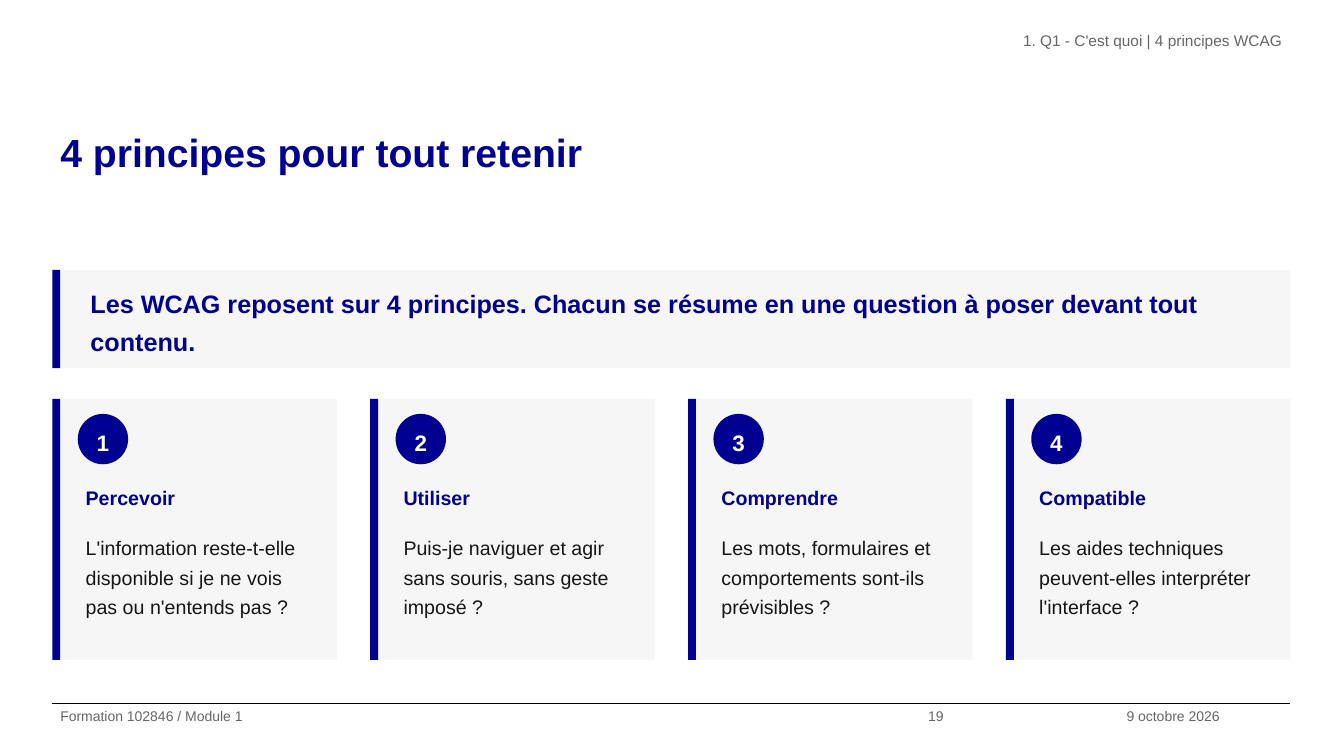
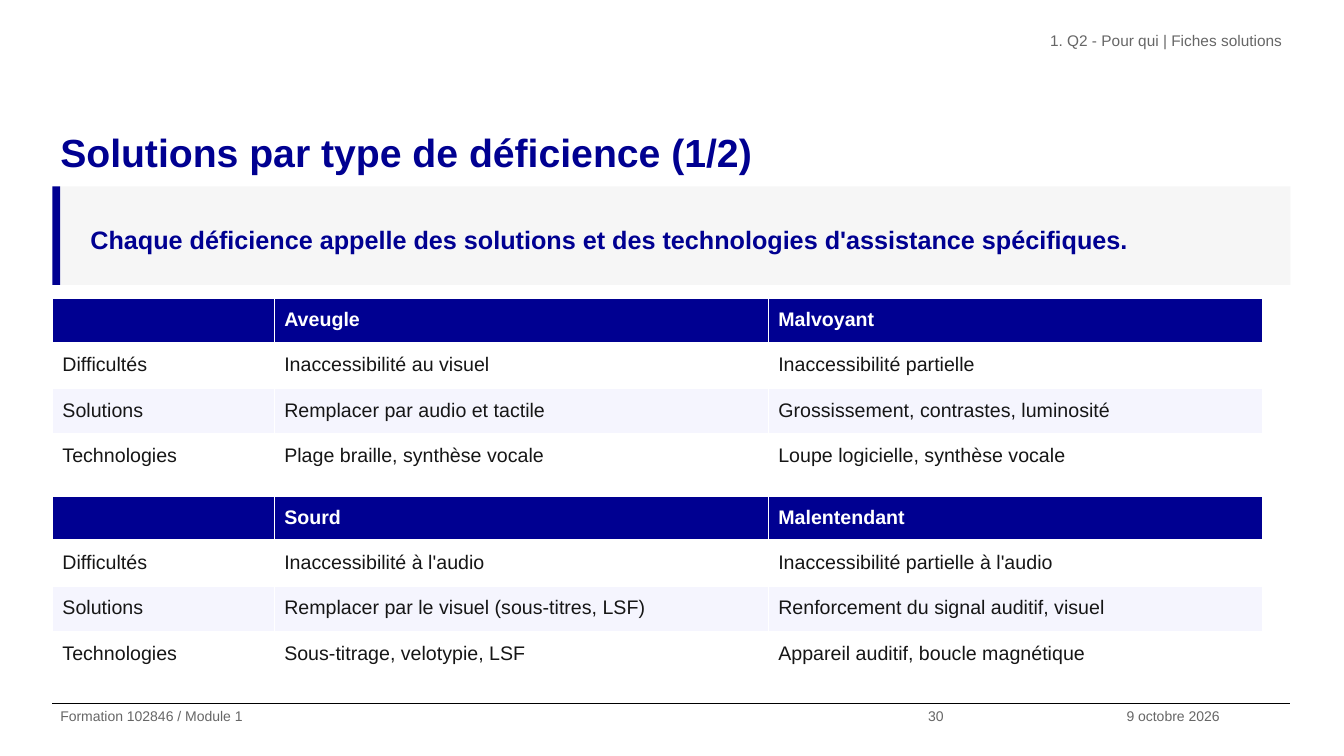
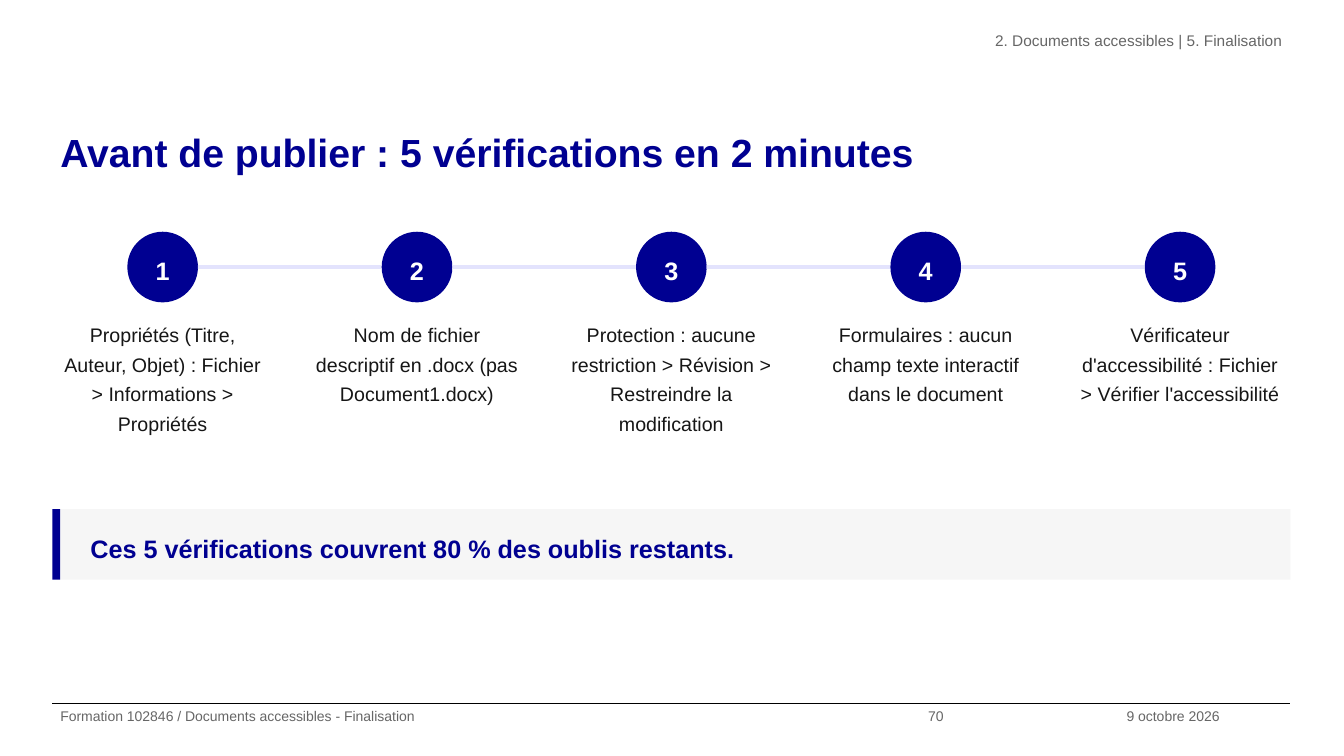
from dataclasses import dataclass
from typing import Iterator, Optional, Sequence

from lxml.etree import SubElement
from pptx import Presentation
from pptx.dml.color import RGBColor
from pptx.enum.shapes import MSO_CONNECTOR, MSO_SHAPE
from pptx.enum.text import MSO_ANCHOR, MSO_AUTO_SIZE, PP_ALIGN
from pptx.oxml.ns import qn
from pptx.presentation import Presentation as Deck
from pptx.shapes.autoshape import Shape
from pptx.slide import Slide
from pptx.table import _Cell as Cell
from pptx.text.text import TextFrame, _Paragraph as Paragraph
from pptx.util import Cm, Pt


@dataclass(frozen=True)
class Theme:
    font: str = "Arial"
    line_spacing: float = 1.25
    blue: str = "000091"
    ink: str = "161616"
    grey: str = "666666"
    panel: str = "F6F6F6"
    stripe: str = "F5F5FE"
    link: str = "E3E3FD"
    white: str = "FFFFFF"
    black: str = "000000"
    title_size: int = 28
    lead_size: int = 18
    badge_size: int = 16
    body_size: int = 14
    header_size: int = 11
    footer_size: int = 10


THEME = Theme()

# Shared layout, in centimetres
LEFT, WIDTH = 1.32, 31.2
BAR = 0.2
FOOTER_TOP, FOOTER_HEIGHT = 17.72, 1.32


@dataclass(frozen=True)
class Area:
    left: float
    top: float
    width: float
    height: float

    def lengths(self) -> tuple[Cm, Cm, Cm, Cm]:
        return Cm(self.left), Cm(self.top), Cm(self.width), Cm(self.height)


@dataclass(frozen=True)
class Style:
    size: int
    color: str
    bold: bool = False
    align: Optional[PP_ALIGN] = None


TITLE = Style(THEME.title_size, THEME.blue, True)
HEADER = Style(THEME.header_size, THEME.grey, align=PP_ALIGN.RIGHT)
FOOTER = Style(THEME.footer_size, THEME.grey)
LEAD = Style(THEME.lead_size, THEME.blue, True)
BODY = Style(THEME.body_size, THEME.ink)
BODY_CENTERED = Style(THEME.body_size, THEME.ink, align=PP_ALIGN.CENTER)
CARD_TITLE = Style(THEME.body_size, THEME.blue, True)
TABLE_HEAD = Style(THEME.body_size, THEME.white, True)
CARD_BADGE = Style(THEME.badge_size, THEME.white, True, PP_ALIGN.CENTER)
STEP_BADGE = Style(THEME.lead_size, THEME.white, True, PP_ALIGN.CENTER)


@dataclass(frozen=True)
class PageInfo:
    title: str
    header: str
    footer: str
    number: str


@dataclass(frozen=True)
class Card:
    title: str
    question: str


# Content
PAGES = (
    PageInfo("4 principes pour tout retenir",
             "1. Q1 - C'est quoi | 4 principes WCAG",
             "Formation 102846 / Module 1", "19"),
    PageInfo("Solutions par type de déficience (1/2)",
             "1. Q2 - Pour qui | Fiches solutions",
             "Formation 102846 / Module 1", "30"),
    PageInfo("Avant de publier : 5 vérifications en 2 minutes",
             "2. Documents accessibles | 5. Finalisation",
             "Formation 102846 / Documents accessibles - Finalisation", "70"),
)
DATE = "9 octobre 2026"

CARDS = (
    Card("Percevoir", "L'information reste-t-elle disponible si je ne vois pas ou n'entends pas ?"),
    Card("Utiliser", "Puis-je naviguer et agir sans souris, sans geste imposé ?"),
    Card("Comprendre", "Les mots, formulaires et comportements sont-ils prévisibles ?"),
    Card("Compatible", "Les aides techniques peuvent-elles interpréter l'interface ?"),
)

SIGHT = (
    ("", "Aveugle", "Malvoyant"),
    ("Difficultés", "Inaccessibilité au visuel", "Inaccessibilité partielle"),
    ("Solutions", "Remplacer par audio et tactile", "Grossissement, contrastes, luminosité"),
    ("Technologies", "Plage braille, synthèse vocale", "Loupe logicielle, synthèse vocale"),
)
HEARING = (
    ("", "Sourd", "Malentendant"),
    ("Difficultés", "Inaccessibilité à l'audio", "Inaccessibilité partielle à l'audio"),
    ("Solutions", "Remplacer par le visuel (sous-titres, LSF)", "Renforcement du signal auditif, visuel"),
    ("Technologies", "Sous-titrage, velotypie, LSF", "Appareil auditif, boucle magnétique"),
)

STEPS = (
    "Propriétés (Titre, Auteur, Objet) : Fichier > Informations > Propriétés",
    "Nom de fichier descriptif en .docx (pas Document1.docx)",
    "Protection : aucune restriction > Révision > Restreindre la modification",
    "Formulaires : aucun champ texte interactif dans le document",
    "Vérificateur d'accessibilité : Fichier > Vérifier l'accessibilité",
)


# Drawing helpers
def format_paragraph(para: Paragraph, style: Style) -> None:
    para.line_spacing = THEME.line_spacing
    if style.align is not None:
        para.alignment = style.align
    for font in (para.font, *(span.font for span in para.runs)):
        font.name = THEME.font
        font.size = Pt(style.size)
        font.bold = style.bold
        font.color.rgb = RGBColor.from_string(style.color)


def fill_frame(frame: TextFrame, text: str, style: Style, inset: float = 0.13) -> None:
    frame.word_wrap = True
    frame.margin_left = frame.margin_right = Cm(0.2)
    frame.margin_top = frame.margin_bottom = Cm(inset)
    frame.text = text
    format_paragraph(frame.paragraphs[0], style)


def add_label(page: Slide, area: Area, text: str, style: Style) -> None:
    box = page.shapes.add_textbox(*area.lengths())
    fill_frame(box.text_frame, text, style, inset=0)


def add_text(page: Slide, area: Area, text: str, style: Style,
             anchor: MSO_ANCHOR = MSO_ANCHOR.TOP) -> None:
    box = page.shapes.add_textbox(*area.lengths())
    fill_frame(box.text_frame, text, style)
    box.text_frame.vertical_anchor = anchor
    box.text_frame.auto_size = MSO_AUTO_SIZE.SHAPE_TO_FIT_TEXT


def add_block(page: Slide, area: Area, color: str,
              kind: MSO_SHAPE = MSO_SHAPE.RECTANGLE) -> Shape:
    block = page.shapes.add_shape(kind, *area.lengths())
    block.shadow.inherit = False
    block.fill.solid()
    block.fill.fore_color.rgb = RGBColor.from_string(color)
    block.line.fill.background()
    return block


def add_badge(page: Slide, left: float, top: float, size: float,
              number: int, style: Style) -> None:
    badge = add_block(page, Area(left, top, size, size), THEME.blue, MSO_SHAPE.OVAL)
    fill_frame(badge.text_frame, str(number), style)
    badge.text_frame.vertical_anchor = MSO_ANCHOR.MIDDLE


def add_barred_panel(page: Slide, area: Area) -> None:
    add_block(page, Area(area.left + BAR, area.top, area.width - BAR, area.height), THEME.panel)
    add_block(page, Area(area.left, area.top, BAR, area.height), THEME.blue)


def add_callout(page: Slide, top: float, height: float, text: str) -> None:
    add_barred_panel(page, Area(LEFT, top, WIDTH, height))
    add_text(page, Area(LEFT + 0.76, top + 0.25, 30.18, height - 0.5), text, LEAD,
             MSO_ANCHOR.MIDDLE)


def column_lefts(count: int, gap: float) -> tuple[float, Iterator[float]]:
    """Column width and left edges of equal columns across the page."""
    width = (WIDTH - gap * (count - 1)) / count
    return width, (LEFT + index * (width + gap) for index in range(count))


def set_border(cell: Cell, side: str, points: float) -> None:
    line = SubElement(cell._tc.get_or_add_tcPr(), qn(f"a:{side}"), w=str(Pt(points)))
    solid = SubElement(line, qn("a:solidFill"))
    SubElement(solid, qn("a:srgbClr"), val=THEME.white)


def add_grid(page: Slide, top: float, rows: Sequence[Sequence[str]]) -> None:
    widths, row_height = (5.59, 12.45, 12.45), 1.14
    area = Area(LEFT, top, sum(widths), row_height * len(rows))
    table = page.shapes.add_table(len(rows), len(widths), *area.lengths()).table
    for column, width in zip(table.columns, widths):
        column.width = Cm(width)
    for row_index, texts in enumerate(rows):
        table.rows[row_index].height = Cm(row_height)
        is_head = row_index == 0
        color = THEME.blue if is_head else (THEME.white, THEME.stripe)[(row_index + 1) % 2]
        for column_index, text in enumerate(texts):
            cell = table.cell(row_index, column_index)
            cell.text = text
            format_paragraph(cell.text_frame.paragraphs[0], TABLE_HEAD if is_head else BODY)
            # Borders come before the fill in the cell properties
            for side in ("lnL", "lnR", "lnT", "lnB"):
                below_head = (is_head and side == "lnB") or (row_index == 1 and side == "lnT")
                set_border(cell, side, 3 if below_head else 1)
            cell.fill.solid()
            cell.fill.fore_color.rgb = RGBColor.from_string(color)


def add_page(deck: Deck, info: PageInfo) -> Slide:
    page = deck.slides.add_slide(deck.slide_layouts[6])
    rule = page.shapes.add_connector(MSO_CONNECTOR.STRAIGHT, Cm(LEFT), Cm(FOOTER_TOP),
                                     Cm(LEFT + WIDTH), Cm(FOOTER_TOP))
    rule.line.color.rgb = RGBColor.from_string(THEME.black)
    rule.line.width = Pt(0.8)
    SubElement(rule._element.spPr, qn("a:effectLst"))
    add_label(page, Area(LEFT, 2.95, WIDTH, 2.67), info.title, TITLE)
    add_label(page, Area(12.27, 0.66, 20.25, 1.32), info.header, HEADER)
    footers = ((LEFT, 21.87, info.footer), (23.19, 5, info.number), (28.19, 4.33, DATE))
    for left, width, text in footers:
        add_label(page, Area(left, FOOTER_TOP, width, FOOTER_HEIGHT), text, FOOTER)
    return page


# Pages
def build_principles(deck: Deck) -> None:
    page = add_page(deck, PAGES[0])
    add_callout(page, 6.8, 2.48, "Les WCAG reposent sur 4 principes. Chacun se résume "
                                 "en une question à poser devant tout contenu.")
    top, text_width = 10.05, 6.15
    width, lefts = column_lefts(len(CARDS), 0.84)
    for number, (left, card) in enumerate(zip(lefts, CARDS), start=1):
        inner = left + 0.64
        add_barred_panel(page, Area(left, top, width, 6.58))
        add_badge(page, inner, top + 0.38, 1.27, number, CARD_BADGE)
        add_text(page, Area(inner, top + 1.91, text_width, 1.14), card.title, CARD_TITLE)
        add_text(page, Area(inner, top + 3.18, text_width, 3.15), card.question, BODY)


def build_solutions(deck: Deck) -> None:
    page = add_page(deck, PAGES[1])
    add_callout(page, 4.7, 2.48, "Chaque déficience appelle des solutions et des "
                                 "technologies d'assistance spécifiques.")
    add_grid(page, 7.52, SIGHT)
    add_grid(page, 12.5, HEARING)


def build_checks(deck: Deck) -> None:
    page = add_page(deck, PAGES[2])
    gap, size, top, thickness = 0.85, 1.78, 5.84, 0.1
    width, lefts = column_lefts(len(STEPS), gap)
    for number, (left, step) in enumerate(zip(lefts, STEPS), start=1):
        badge_left = left + (width - size) / 2
        add_badge(page, badge_left, top, size, number, STEP_BADGE)
        add_text(page, Area(left, 7.87, width, 4.32), step, BODY_CENTERED)
        if number < len(STEPS):
            add_block(page, Area(badge_left + size, top + (size - thickness) / 2,
                                 width + gap - size, thickness), THEME.link)
    add_callout(page, 12.83, 1.78, "Ces 5 vérifications couvrent 80 % des oublis restants.")


def main() -> None:
    deck = Presentation()
    deck.slide_width, deck.slide_height = Cm(33.87), Cm(19.05)
    build_principles(deck)
    build_solutions(deck)
    build_checks(deck)
    deck.save("out.pptx")


if __name__ == "__main__":
    main()
